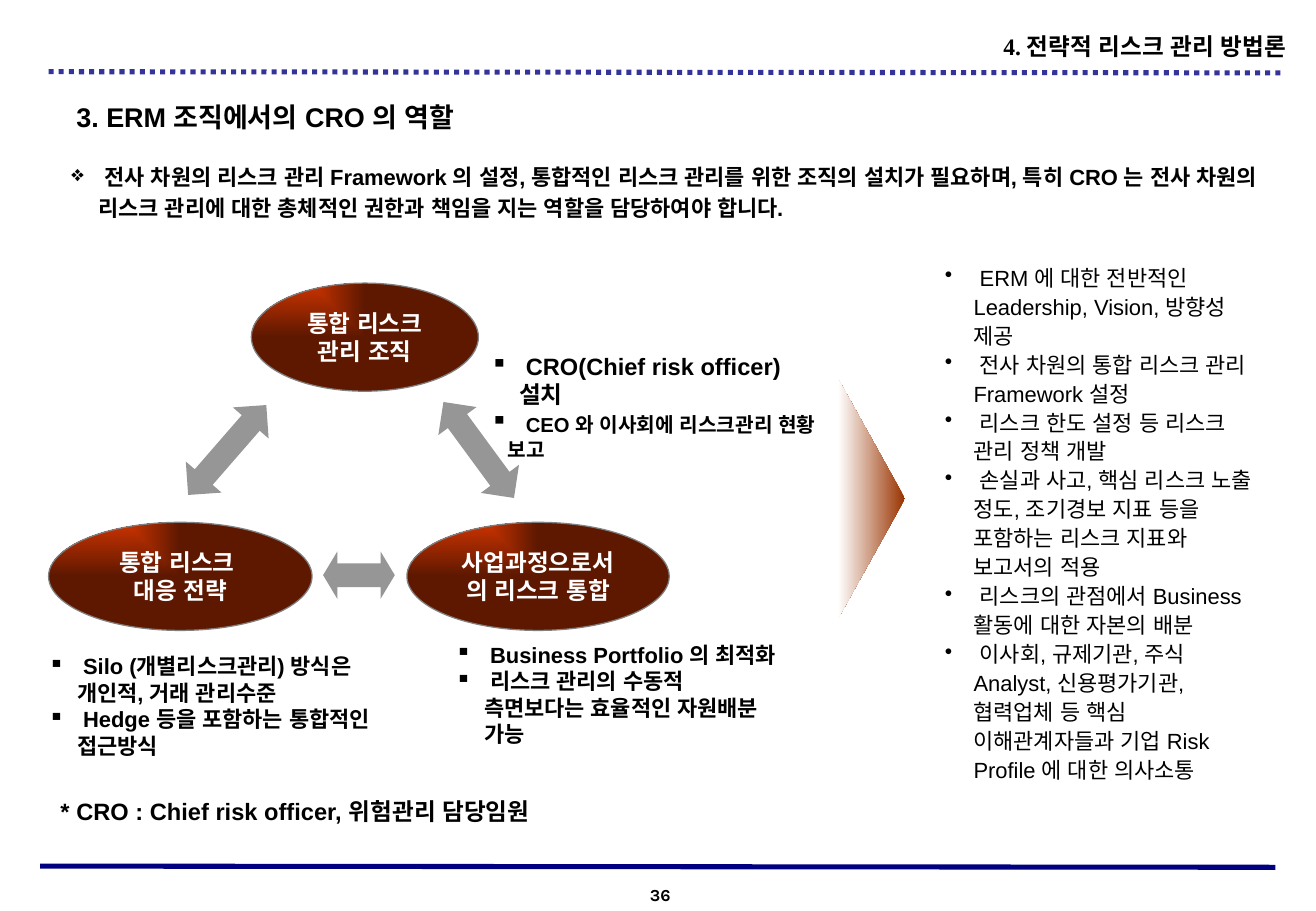
"""Builds the slide on the role of the CRO in an ERM organisation."""
from dataclasses import dataclass

from lxml import etree
from pptx import Presentation
from pptx.dml.color import RGBColor
from pptx.enum import dml, lang, shapes, text
from pptx.oxml import ns
from pptx.util import Pt


@dataclass(frozen=True)
class Theme:
    ink: str = "000000"
    paper: str = "FFFFFF"
    footer_rule: str = "000080"
    header_rule: str = "333399"
    ember: str = "CC3300"
    ember_dark: str = "5E1800"
    rust: str = "993300"
    outline: str = "808080"
    arrow: str = "969696"
    sans: str = "Arial"
    serif: str = "Times New Roman"
    number: str = "Karla"
    heading: int = 16
    label: int = 14
    body: int = 13
    small: int = 12
    page: int = 10


theme = Theme()
rgb = RGBColor.from_string
LEFT, CENTER, RIGHT = text.PP_ALIGN.LEFT, text.PP_ALIGN.CENTER, text.PP_ALIGN.RIGHT

deck = Presentation()
deck.slide_width, deck.slide_height = Pt(780), Pt(540)
slide = deck.slides.add_slide(deck.slide_layouts[6])


def add_box(left, top, width, height, anchor=text.MSO_ANCHOR.MIDDLE, wrap=True):
    frame = slide.shapes.add_textbox(Pt(left), Pt(top), Pt(width), Pt(height)).text_frame
    frame.word_wrap, frame.vertical_anchor = wrap, anchor
    return frame


def add_line(frame, runs, bullet=None, hang=0, align=LEFT, spacing=None,
             face=theme.sans, color=theme.ink, bold=True):
    line = frame.add_paragraph() if frame.text else frame.paragraphs[0]
    line.alignment = align
    if spacing:
        line.line_spacing = spacing
    if hang:
        props = line._p.get_or_add_pPr()
        props.set("marL", str(Pt(hang)))
        if bullet:
            props.set("indent", str(-Pt(hang)))
            etree.SubElement(props, ns.qn("a:buChar")).set("char", bullet)
    for words, size in runs:
        run = line.add_run()
        run.text = words
        run.font.name, run.font.size, run.font.bold = face, Pt(size), bold
        run.font.color.rgb = rgb(color)
        run.font.language_id = lang.MSO_LANGUAGE_ID.KOREAN


rules = [
    (756, 514.1, 23.8, 513.4, theme.footer_rule, None),
    (758.9, 43.2, 27.4, 42.5, theme.header_rule, dml.MSO_LINE.ROUND_DOT),
]
for x1, y1, x2, y2, color, dash in rules:
    rule = slide.shapes.add_connector(shapes.MSO_CONNECTOR.STRAIGHT, Pt(x1), Pt(y1), Pt(x2), Pt(y2))
    rule.line.color.rgb, rule.line.width = rgb(color), Pt(3)
    if dash:
        rule.line.dash_style = dash
    etree.SubElement(rule._element.spPr, ns.qn("a:effectLst"))

top = text.MSO_ANCHOR.TOP
add_line(add_box(360.7, 520.6, 61.2, 19.4, top), [("36", theme.page)], align=CENTER, face=theme.number)
add_line(add_box(579.6, 15.1, 190.1, 23.8, top, wrap=False),
         [("4. 전략적 리스크 관리 방법론", theme.label)], align=RIGHT, face=theme.serif)
add_line(add_box(38.2, 56.2, 346.3, 26.6, top), [("3. ERM 조직에서의 CRO 의 역할", theme.heading)])
add_line(add_box(35.3, 90, 717.8, 49.7, top), [
    (" 전사 차원의 리스크 관리 Framework 의 설정, 통합적인 리스크 관리를 위한 조직의 설치가 필요하며, "
     "특히 CRO 는 전사 차원의 리스크 관리에 대한 총체적인 권한과 책임을 지는 역할을 담당하여야 합니다.",
     theme.body)], bullet="❖", hang=16, spacing=1.2)
add_line(add_box(28.8, 468.7, 340.6, 23.8), [("* CRO : Chief risk officer, 위험관리 담당임원", theme.label)])

pillars = [
    (149, 167.8, 134.6, ["통합 리스크 관리 조직"]),
    (28.8, 309.6, 156.2, ["통합 리스크 ", "대응 전략"]),
    (241.2, 309.6, 155.5, ["사업과정으로서의 리스크 통합"]),
]
for left, y, width, lines in pillars:
    pillar = slide.shapes.add_shape(shapes.MSO_SHAPE.OVAL, Pt(left), Pt(y), Pt(width), Pt(64.1))
    pillar.shadow.inherit = False
    pillar.line.color.rgb, pillar.line.width = rgb(theme.outline), Pt(0.75)
    pillar.fill.gradient()
    for stop, color in zip(pillar.fill.gradient_stops, (theme.ember, theme.ember_dark)):
        stop.color.rgb = rgb(color)
    gradient = pillar._element.spPr.find(ns.qn("a:gradFill"))
    gradient.remove(gradient.find(ns.qn("a:lin")))
    focus = etree.SubElement(gradient, ns.qn("a:path"))
    focus.set("path", "rect")
    corner = etree.SubElement(focus, ns.qn("a:fillToRect"))
    corner.set("r", "100000")
    corner.set("b", "100000")
    pillar.text_frame.word_wrap = True
    pillar.text_frame.vertical_anchor = text.MSO_ANCHOR.MIDDLE
    for words in lines:
        add_line(pillar.text_frame, [(words, theme.label)], align=CENTER, color=theme.paper)

links = [
    (191.5, 326.9, 42.5, 0, 0.3),
    (99.4, 252.7, 70.6, 311, 0.5),
    (248.4, 252.7, 70.6, 53.7, 0.5),
]
for left, y, width, turn, head in links:
    link = slide.shapes.add_shape(shapes.MSO_SHAPE.LEFT_RIGHT_ARROW, Pt(left), Pt(y), Pt(width), Pt(28.1))
    link.shadow.inherit = False
    link.adjustments[0], link.adjustments[1] = 0.5, head
    link.rotation = turn
    link.fill.solid()
    link.fill.fore_color.rgb = rgb(theme.arrow)
    link.line.fill.background()

cro_notes = add_box(283.7, 214.6, 213.1, 52.6)
add_line(cro_notes, [(" CRO(Chief risk officer) 설치", theme.label)], bullet="▪", hang=17)
add_line(cro_notes, [(" ", theme.label), ("CEO 와 이사회에 리스크관리 현황", theme.small)], bullet="▪", hang=17)
add_line(cro_notes, [("보고", theme.small)], hang=10)

note_groups = [
    ((21.6, 385.2, 212.4, 66.2), "▪", None, True, [
        " Silo (개별리스크관리) 방식은 개인적, 거래 관리수준",
        " Hedge 등을 포함하는 통합적인 접근방식"]),
    ((262.8, 385.2, 212.4, 52.6), "▪", None, True, [
        " Business Portfolio 의 최적화",
        " 리스크 관리의 수동적 측면보다는 효율적인 자원배분 가능"]),
    ((553, 175, 205.9, 269.3), "•", 1.1, False, [
        " ERM 에 대한 전반적인 Leadership, Vision, 방향성 제공",
        " 전사 차원의 통합 리스크 관리 Framework 설정",
        " 리스크 한도 설정 등 리스크 관리 정책 개발",
        " 손실과 사고, 핵심 리스크 노출 정도, 조기경보 지표 등을 포함하는 리스크 지표와 보고서의 적용",
        " 리스크의 관점에서 Business 활동에 대한 자본의 배분",
        " 이사회, 규제기관, 주식 Analyst, 신용평가기관, 협력업체 등 핵심 이해관계자들과 기업 "
        "Risk Profile 에 대한 의사소통"]),
]
for place, bullet, spacing, bold, lines in note_groups:
    notes = add_box(*place)
    for words in lines:
        add_line(notes, [(words, theme.body)], bullet=bullet, hang=17, spacing=spacing, bold=bold)

outcome = slide.shapes.add_shape(shapes.MSO_SHAPE.ISOSCELES_TRIANGLE, Pt(445.7), Pt(275.8), Pt(141.8), Pt(39.6))
outcome.shadow.inherit = False
outcome.rotation = 90
outcome.line.fill.background()
outcome.fill.gradient()
outcome.fill.gradient_angle = 270
for stop, color in zip(outcome.fill.gradient_stops, (theme.rust, theme.paper)):
    stop.color.rgb = rgb(color)

deck.save("out.pptx")
